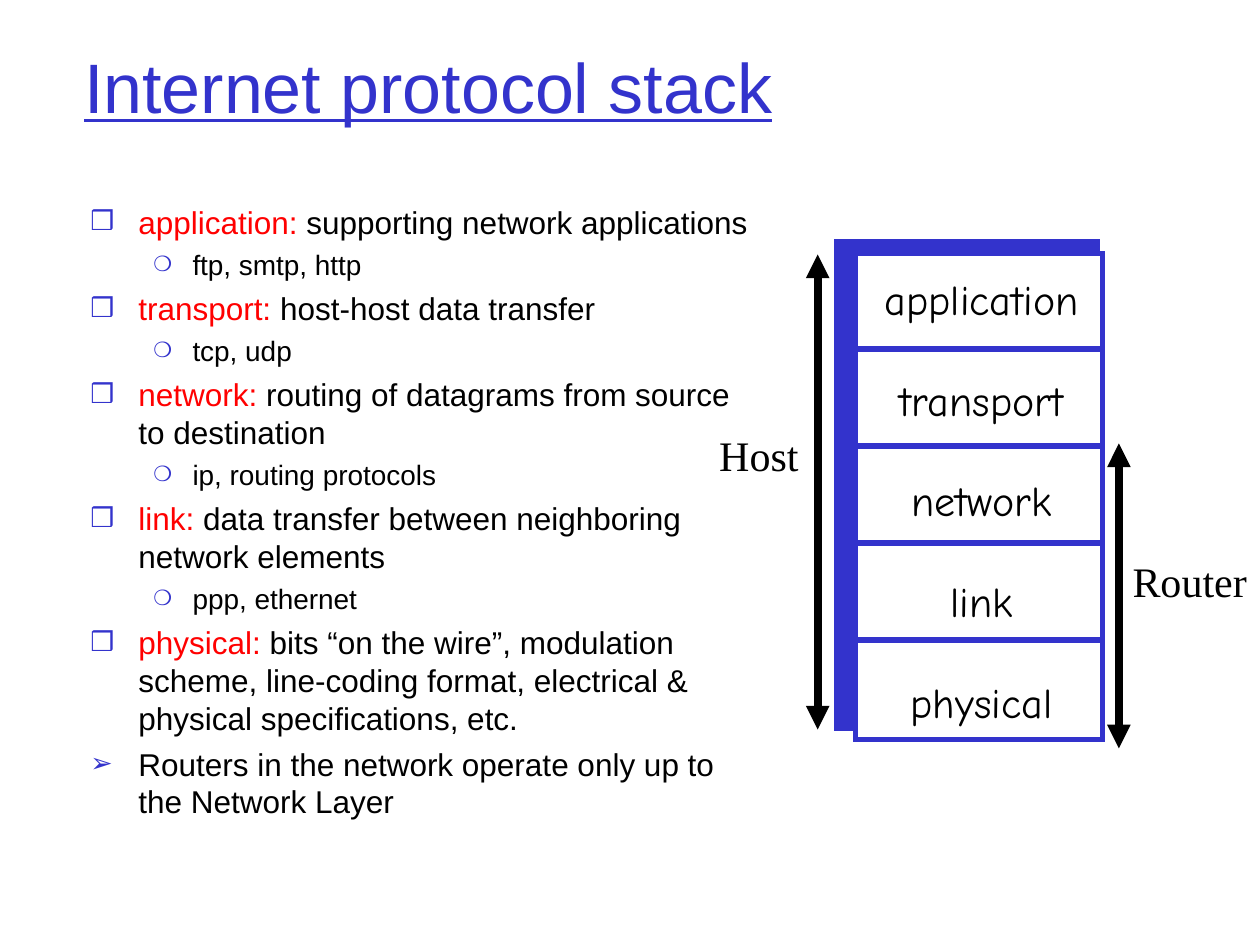
from pptx import Presentation
from pptx.dml.color import RGBColor
from pptx.enum.shapes import MSO_CONNECTOR, MSO_SHAPE
from pptx.enum.text import MSO_ANCHOR, PP_ALIGN
from pptx.oxml.ns import qn
from pptx.util import Inches, Pt
from lxml.etree import SubElement

BLUE, RED, BLACK, WHITE = "3333CC", "FF0000", "000000", "FFFFFF"


def add_run(paragraph, text, size, font, color):
    run = paragraph.add_run()
    run.text = text
    run.font.size = Pt(size)
    run.font.name = font
    run.font.color.rgb = RGBColor.from_string(color)
    return run


def add_line(shapes, x1, y1, x2, y2, color, width, arrows=False):
    line = shapes.add_connector(
        MSO_CONNECTOR.STRAIGHT, Inches(x1), Inches(y1), Inches(x2), Inches(y2))
    line.line.color.rgb = RGBColor.from_string(color)
    line.line.width = Pt(width)
    if arrows:
        outline = line.line._get_or_add_ln()
        for end in ("a:headEnd", "a:tailEnd"):
            SubElement(outline, qn(end), type="triangle")
    SubElement(line._element.spPr, qn("a:effectLst"))


prs = Presentation()
prs.slide_width, prs.slide_height = Inches(10), Inches(7.5)
slide = prs.slides.add_slide(prs.slide_layouts[6])

backdrop = slide.shapes.add_shape(
    MSO_SHAPE.RECTANGLE, Inches(6.64), Inches(1.92), Inches(2.07), Inches(3.86))

title = slide.shapes.add_textbox(Inches(0.57), Inches(0.15), Inches(8.5), Inches(1.05))
title.text_frame.word_wrap = True
title.text_frame.vertical_anchor = MSO_ANCHOR.MIDDLE
heading = add_run(title.text_frame.paragraphs[0], "Internet protocol stack", 40, "Arial", BLUE)
heading.font.underline = True

summary = [
    ("❒", "application:", " supporting network applications"),
    ("❍", "", "ftp, smtp, http"),
    ("❒", "transport:", " host-host data transfer"),
    ("❍", "", "tcp, udp"),
    ("❒", "network:", " routing of datagrams from source to destination"),
    ("❍", "", "ip, routing protocols"),
    ("❒", "link:", " data transfer between neighboring network elements"),
    ("❍", "", "ppp, ethernet"),
    ("❒", "physical:", " bits “on the wire”, modulation scheme, line-coding format, "
     "electrical & physical specifications, etc."),
    ("➢", "", "Routers in the network operate only up to the Network Layer"),
]
body = slide.shapes.add_textbox(Inches(0.62), Inches(1.56), Inches(5.53), Inches(5.05))
body.text_frame.word_wrap = True
for i, (bullet, term, detail) in enumerate(summary):
    paragraph = body.text_frame.add_paragraph() if i else body.text_frame.paragraphs[0]
    if bullet == "❍":
        level, size, gap, margin, hang, scale = 1, 16, 4, 0.81, 0.31, 75
    else:
        level, size, gap, margin, hang, scale = 0, 18, 4.5, 0.38, 0.38, 85
    paragraph.level = level
    paragraph.space_before = Pt(gap)
    props = paragraph._p.get_or_add_pPr()
    props.set("marL", str(Inches(margin)))
    props.set("indent", str(-Inches(hang)))
    SubElement(SubElement(props, qn("a:buClr")), qn("a:srgbClr"), val=BLUE)
    SubElement(props, qn("a:buSzPct"), val=str(scale * 1000))
    SubElement(props, qn("a:buFont"), typeface="Arial")
    SubElement(props, qn("a:buChar"), char=bullet)
    if term:
        add_run(paragraph, term, size, "Arial", RED)
    add_run(paragraph, detail, size, "Arial", BLACK)

stack = slide.shapes.add_group_shape().shapes
panel = stack.add_shape(
    MSO_SHAPE.RECTANGLE, Inches(6.79), Inches(2.01), Inches(1.96), Inches(3.86))
for box, fill in ((backdrop, BLUE), (panel, WHITE)):
    box.shadow.inherit = False
    box.fill.solid()
    box.fill.fore_color.rgb = RGBColor.from_string(fill)
    box.line.color.rgb = RGBColor.from_string(BLUE)
    box.line.width = Pt(3)
    SubElement(box.line._get_or_add_ln(), qn("a:miter"), lim="800000")

layers = stack.add_textbox(Inches(6.92), Inches(2.12), Inches(1.74), Inches(3.7))
layers.text_frame.word_wrap = False
for i, layer in enumerate(["application", "transport", "network", "link", "physical"]):
    paragraph = layers.text_frame.add_paragraph() if i else layers.text_frame.paragraphs[0]
    paragraph.alignment = PP_ALIGN.CENTER
    if i:
        paragraph.space_before = Pt(28.8)
        divider = 2 + 0.77 * i
        add_line(stack, 6.78, divider, 8.73, divider, BLUE, 3)
    add_run(paragraph, layer, 24, "Comic Neue", BLACK)

spans = [
    ("Host", 5.61, 3.36, 0.83, 6.49, 2.02, 5.79),
    ("Router", 8.89, 4.36, 1.1, 8.88, 3.52, 5.94),
]
for name, left, top, width, x, start, stop in spans:
    add_line(slide.shapes, x, start, x, stop, BLACK, 4.5, arrows=True)
    label = slide.shapes.add_textbox(Inches(left), Inches(top), Inches(width), Inches(0.5))
    label.text_frame.word_wrap = True
    label.text_frame.margin_right = Inches(0)
    add_run(label.text_frame.paragraphs[0], name, 24, "Times New Roman", BLACK)

prs.save("out.pptx")
